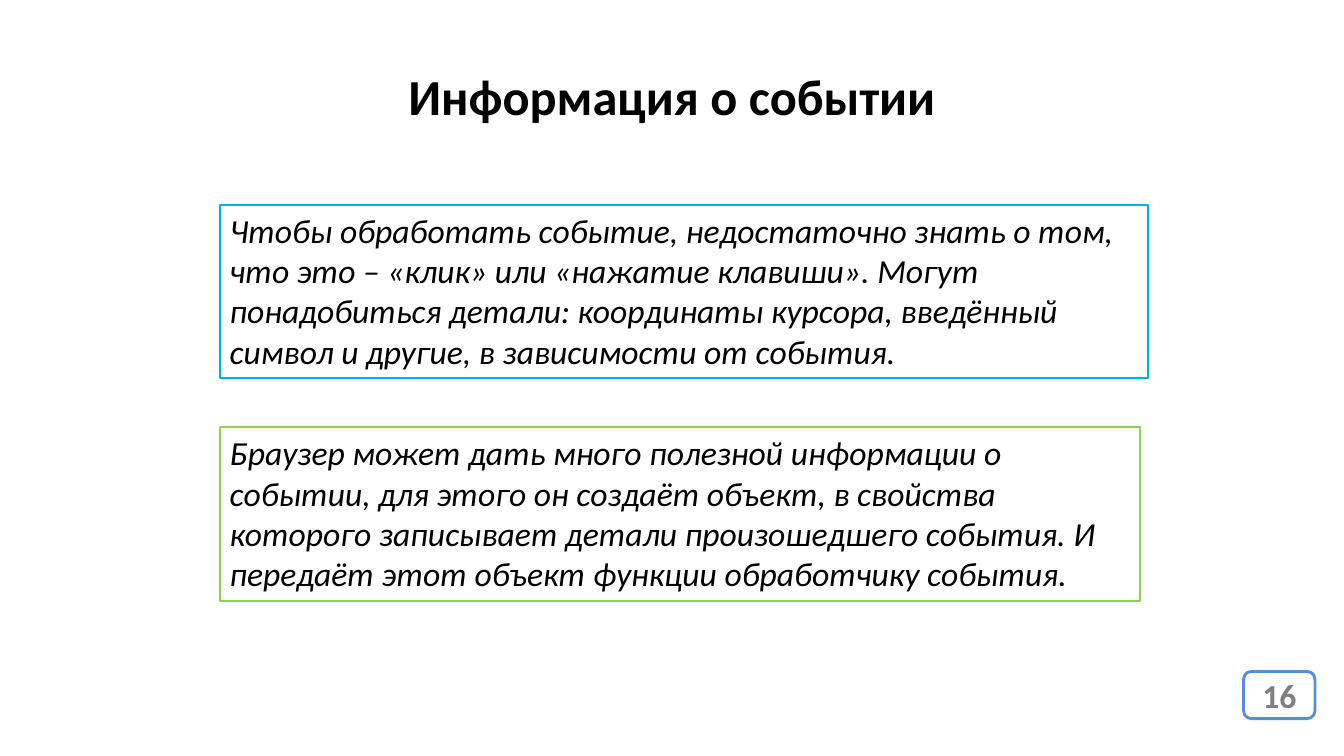
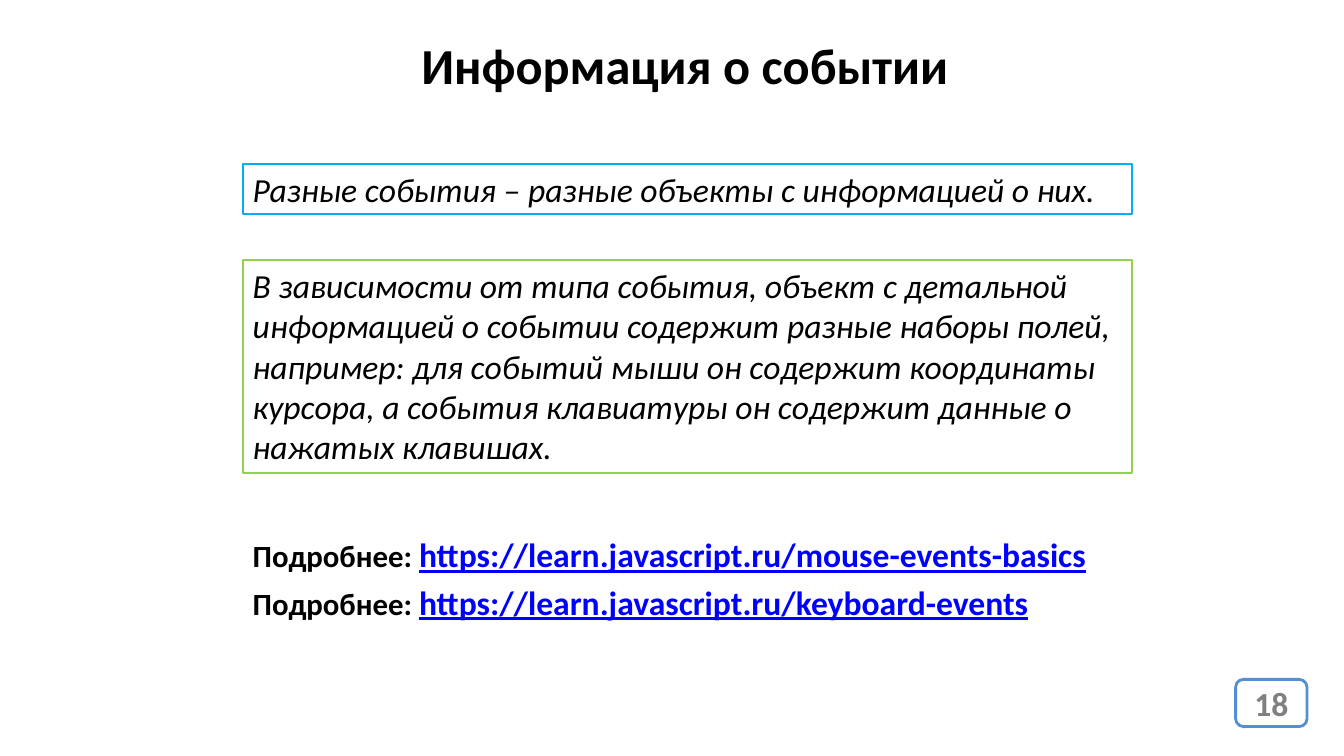
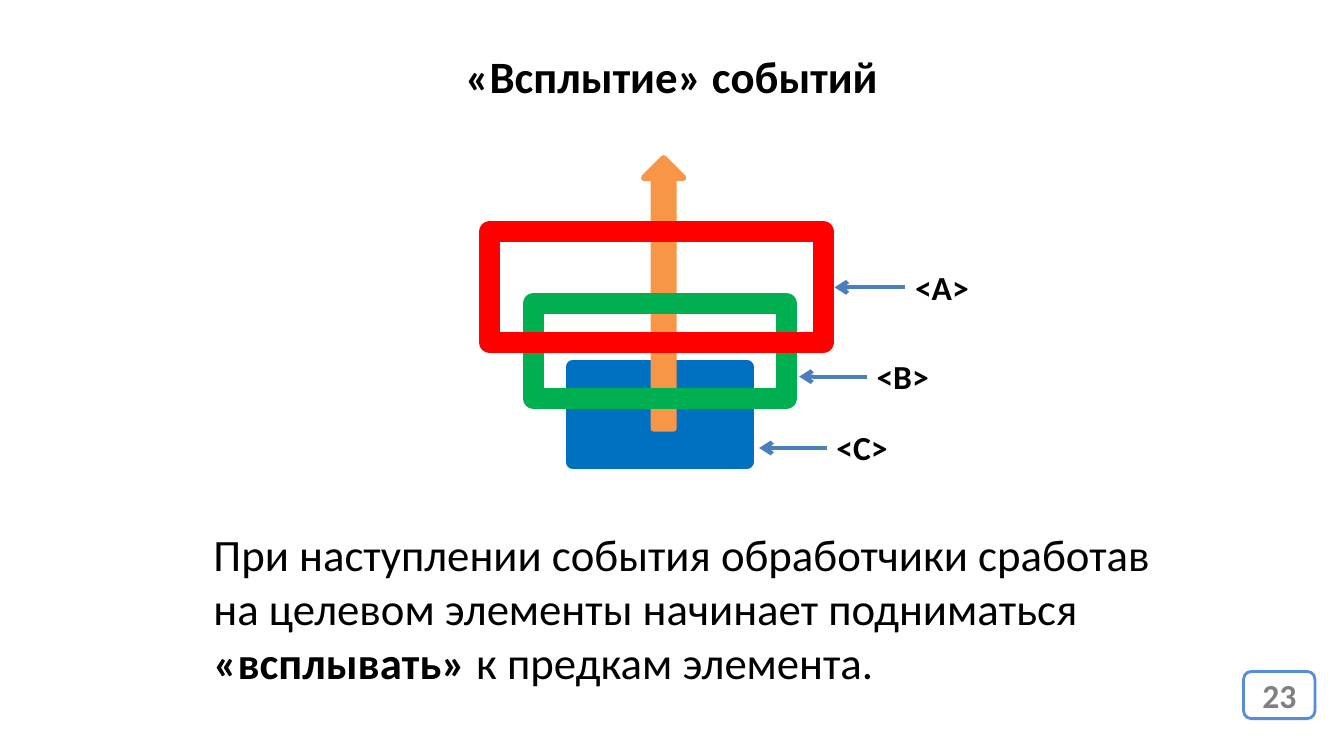
from lxml import etree
from pptx import Presentation
from pptx.dml.color import RGBColor
from pptx.enum.shapes import MSO_CONNECTOR, MSO_SHAPE
from pptx.enum.text import MSO_ANCHOR, PP_ALIGN
from pptx.oxml.ns import qn
from pptx.util import Cm, Pt

BLACK = RGBColor(0x00, 0x00, 0x00)
WHITE = RGBColor(0xFF, 0xFF, 0xFF)
GRAY = RGBColor(0x80, 0x80, 0x80)
BADGE_BLUE = RGBColor(0x55, 0x8E, 0xD5)
SKY = RGBColor(0x00, 0xB0, 0xF0)
LIME = RGBColor(0x92, 0xD0, 0x50)
LINK_BLUE = RGBColor(0x00, 0x00, 0xFF)
BLUE = RGBColor(0x00, 0x70, 0xC0)
ORANGE = RGBColor(0xF7, 0x96, 0x46)
GREEN = RGBColor(0x00, 0xB0, 0x50)
RED = RGBColor(0xFF, 0x00, 0x00)
POINTER_BLUE = RGBColor(0x4B, 0x7E, 0xBC)
FONT = "Calibri"
SLIDE_WIDTH = 33.87


def add_figure(page, preset, place, line, weight, fill=None):
    """Add a preset shape at place (left, top, width, height in cm)."""
    figure = page.shapes.add_shape(preset, *map(Cm, place))
    figure.shadow.inherit = False
    figure.line.color.rgb = line
    figure.line.width = Pt(weight)
    if fill is None:
        figure.fill.background()
    else:
        figure.fill.solid()
        figure.fill.fore_color.rgb = fill
    return figure


def write(box, texts, size, color=BLACK, bold=None, italic=None,
          align=PP_ALIGN.LEFT, anchor=MSO_ANCHOR.TOP):
    """Write one paragraph of runs into a shape and return its runs."""
    frame = box.text_frame
    frame.word_wrap = True
    frame.vertical_anchor = anchor
    para = frame.paragraphs[0]
    para.alignment = align
    font = para.font
    font.name, font.size, font.bold, font.italic = FONT, Pt(size), bold, italic
    font.color.rgb = color
    spans = []
    for text in texts:
        span = para.add_run()
        span.text = text
        spans.append(span)
    return spans


deck = Presentation()
deck.slide_width = Cm(SLIDE_WIDTH)
deck.slide_height = Cm(19.05)

# Titles and page numbers
headings = [
    ("Информация о событии", 36, (0, 1.52, SLIDE_WIDTH, 1.8), "16", (31.34, 16.92)),
    ("Информация о событии", 36, (10.3, 0.74, 13.92, 1.8), "18", (31.14, 17.12)),
    ("«Всплытие» событий", 32, (0, 1.09, SLIDE_WIDTH, 1.63), "23", (31.34, 16.92)),
]
pages = []
for heading, size, place, number, corner in headings:
    page = deck.slides.add_slide(deck.slide_layouts[5])
    title = page.shapes.title
    title.left, title.top, title.width, title.height = map(Cm, place)
    write(title, [heading], size, bold=True, align=PP_ALIGN.CENTER)
    badge = add_figure(page, MSO_SHAPE.ROUNDED_RECTANGLE, (*corner, 1.8, 1.19),
                       BADGE_BLUE, 2, WHITE)
    write(badge, [number], 24, GRAY, bold=True, align=PP_ALIGN.CENTER,
          anchor=MSO_ANCHOR.MIDDLE)
    pages.append(page)
info_page, details_page, bubbling_page = pages

# Framed statements
statements = [
    (info_page, (5.54, 5.16, 23.39, 4.37), SKY,
     "Чтобы обработать событие, недостаточно знать о том, что это – «клик» или "
     "«нажатие клавиши». Могут понадобиться детали: координаты курсора, "
     "введённый символ и другие, в зависимости от события."),
    (info_page, (5.54, 10.77, 23.19, 4.37), LIME,
     "Браузер может дать много полезной информации о событии, для этого он "
     "создаёт объект, в свойства которого записывает детали произошедшего "
     "события. И передаёт этот объект функции обработчику события."),
    (details_page, (6.12, 4.13, 22.4, 1.27), SKY,
     "Разные события – разные объекты с информацией о них."),
    (details_page, (6.12, 6.55, 22.4, 5.38), LIME,
     "В зависимости от типа события, объект с детальной информацией о событии "
     "содержит разные наборы полей, например: для событий мыши он содержит "
     "координаты курсора, а события клавиатуры он содержит данные о нажатых "
     "клавишах."),
]
for page, place, color, text in statements:
    card = add_figure(page, MSO_SHAPE.RECTANGLE, place, color, 1.5)
    write(card, [text], 24, italic=True)

# Further reading
for top, topic in [(13.34, "mouse-events-basics"), (14.53, "keyboard-events")]:
    box = details_page.shapes.add_textbox(Cm(6.12), Cm(top), Cm(24.1), Cm(1.27))
    label, address = write(
        box, ["Подробнее: ", f"https://learn.javascript.ru/{topic}"], 22, bold=True)
    address.font.size = Pt(24)
    address.font.color.rgb = LINK_BLUE
    address.font.underline = True

# Bubbling diagram, from the target element up to its ancestors
layers = [
    (MSO_SHAPE.RECTANGLE, (14.43, 9.25, 4.39, 2.39), BLUE, 10, BLUE),
    (MSO_SHAPE.UP_ARROW, (16.23, 3.99, 0.99, 6.81), ORANGE, 4.5, ORANGE),
    (MSO_SHAPE.RECTANGLE, (13.44, 7.65, 6.38, 2.39), GREEN, 15, None),
    (MSO_SHAPE.RECTANGLE, (12.34, 5.84, 8.41, 2.79), RED, 15, None),
]
for layer in layers:
    add_figure(bubbling_page, *layer)

tags = [("<A>", 22.81, 21.03, 7.24), ("<B>", 21.84, 20.14, 9.49),
        ("<C>", 20.83, 19.13, 11.29)]
for tag, start, end, level in tags:
    pointer = bubbling_page.shapes.add_connector(
        MSO_CONNECTOR.STRAIGHT, Cm(start), Cm(level), Cm(end), Cm(level))
    pointer.line.color.rgb = POINTER_BLUE
    pointer.line.width = Pt(3)
    outline = pointer.line._get_or_add_ln()
    etree.SubElement(outline, qn("a:tailEnd"), type="arrow")
    etree.SubElement(pointer._element.spPr, qn("a:effectLst"))
    box = bubbling_page.shapes.add_textbox(
        Cm(start), Cm(level - 0.65), Cm(2.1), Cm(1.27))
    write(box, [tag], 24, bold=True)

summary = bubbling_page.shapes.add_textbox(Cm(5.13), Cm(13.16), Cm(24.61), Cm(4.37))
spans = write(summary, [
    "При наступлении события обработчики сработав на целевом элементы начинает "
    "подниматься ", "«всплывать» ", "к предкам элемента."], 32)
spans[1].font.bold = True

deck.save("out.pptx")
